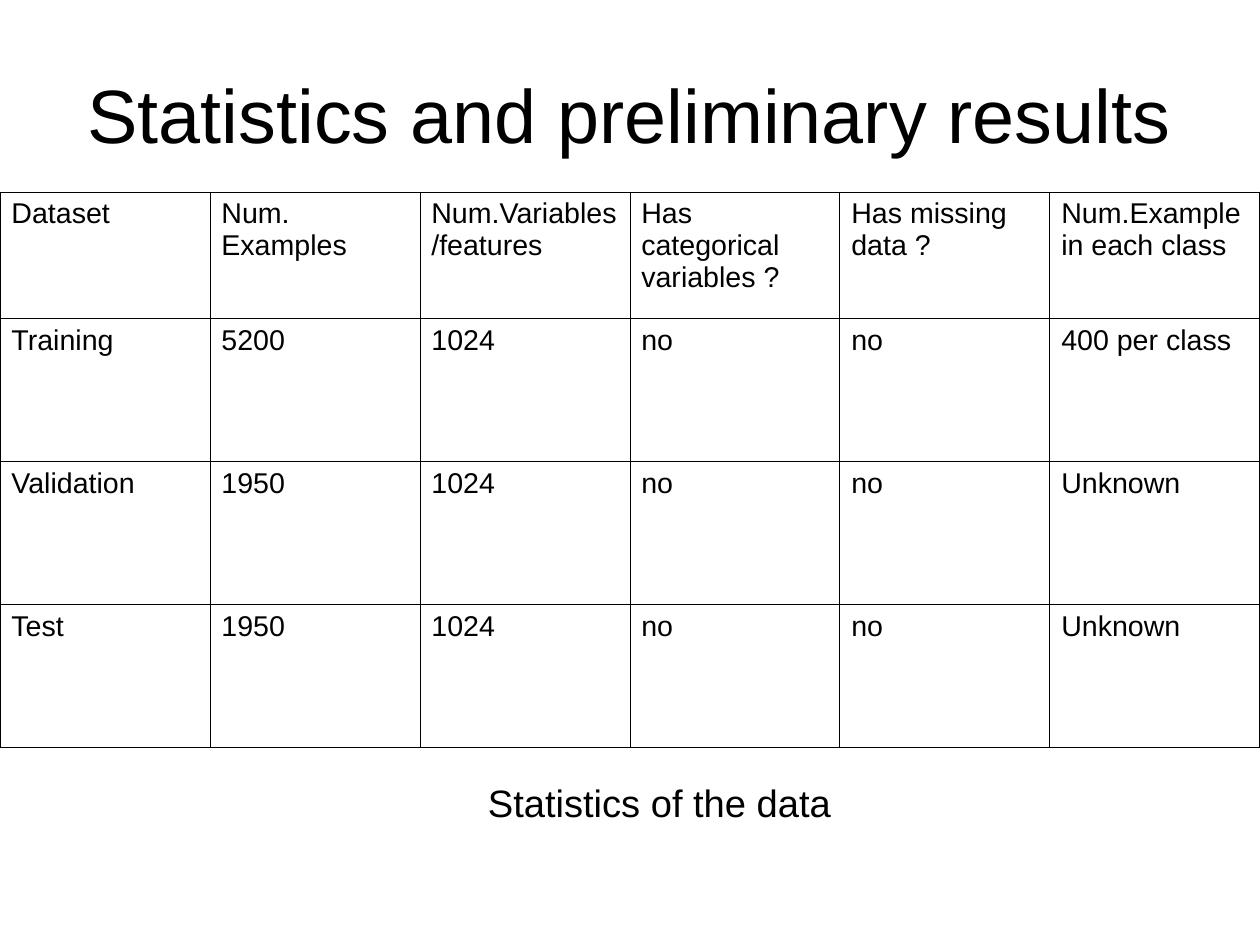
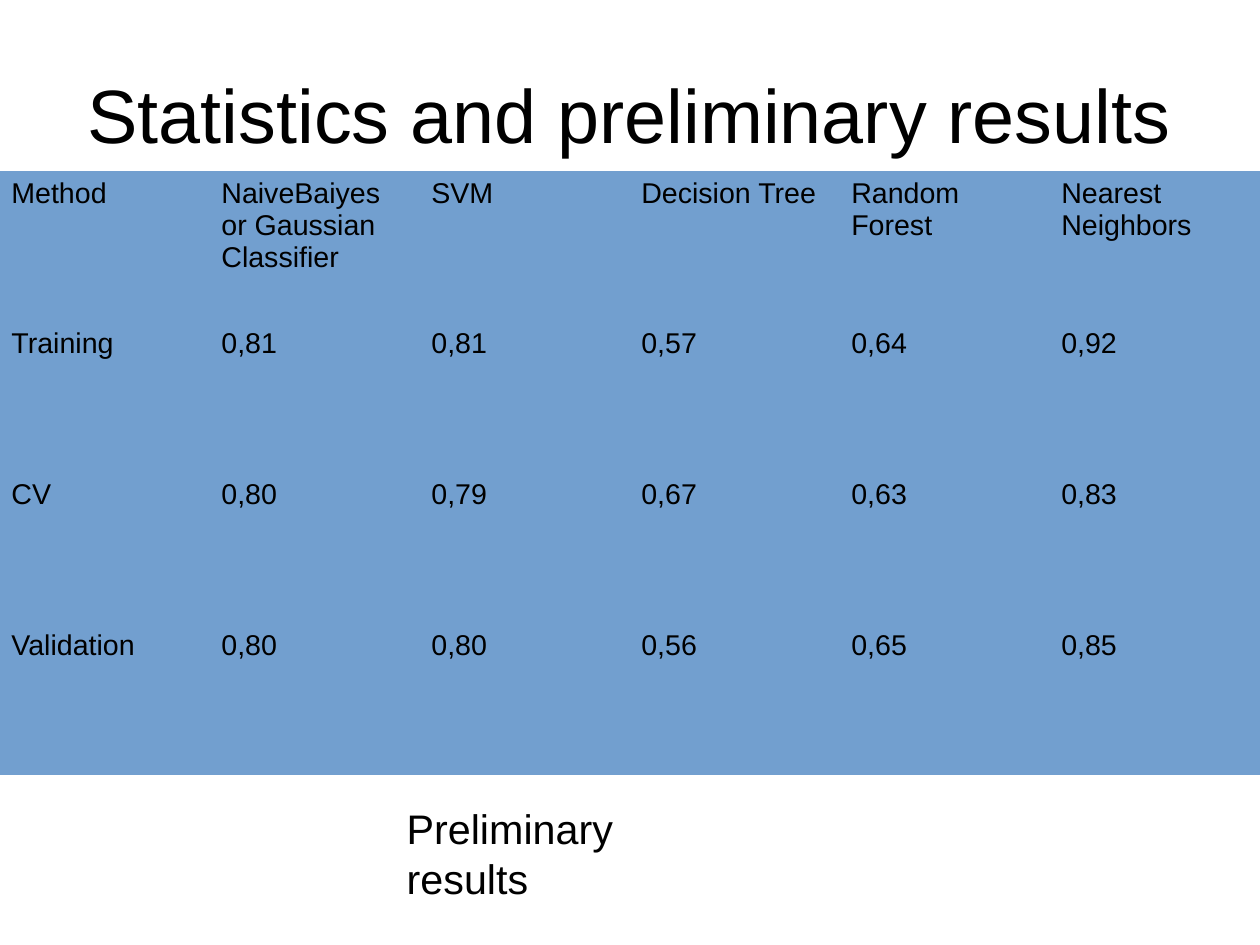
"""Build two slides with data statistics and preliminary results tables."""
from lxml import etree
from pptx import Presentation
from pptx.dml.color import RGBColor
from pptx.enum.text import MSO_ANCHOR, MSO_AUTO_SIZE, PP_ALIGN
from pptx.oxml.ns import qn
from pptx.util import Inches, Pt

BLACK = RGBColor(0x00, 0x00, 0x00)
WHITE = RGBColor(0xFF, 0xFF, 0xFF)
BLUE = RGBColor(0x72, 0x9F, 0xCF)
FONT = "Arial"
TITLE = "Statistics and preliminary results"
MIDDLE = MSO_ANCHOR.MIDDLE
NO_FIT = MSO_AUTO_SIZE.NONE
GROW = MSO_AUTO_SIZE.SHAPE_TO_FIT_TEXT
CENTER = PP_ALIGN.CENTER
CM_PER_INCH = 2.54
WIDTH = 28 / CM_PER_INCH
HEIGHT = 21 / CM_PER_INCH

SLIDES = [
    {
        "rows": [
            ["Dataset", "Num.\nExamples", "Num.Variables/features",
             "Has categorical variables ?", "Has missing data ?",
             "Num.Example in each class"],
            ["Training", "5200", "1024", "no", "no", "400 per class"],
            ["Validation", "1950", "1024", "no", "no", "Unknown"],
            ["Test", "1950", "1024", "no", "no", "Unknown"],
        ],
        "top": 1.68, "heights": [1.11, 1.25, 1.25, 1.25],
        "fill": None, "border": BLACK,
        "caption": "Statistics of the data", "size": 24,
        "box": (4.17, 6.77, 3.39, 0.84), "wrap": True,
    },
    {
        "rows": [
            ["Method", "NaiveBaiyes or Gaussian Classifier", "SVM",
             "Decision Tree", "Random Forest", "Nearest Neighbors"],
            ["Training", "0,81", "0,81", "0,57", "0,64", "0,92"],
            ["CV", "0,80", "0,79", "0,67", "0,63", "0,83"],
            ["Validation", "0,80", "0,80", "0,56", "0,65", "0,85"],
        ],
        "top": 1.5, "heights": [1.32] * 4,
        "fill": BLUE, "border": None,
        "caption": "Preliminary results", "size": 26,
        "box": (3.46, 6.98, 3.17, 0.5), "wrap": False,
    },
]


def add_text(tf, text, size, align=None):
    for i, line in enumerate(text.split("\n")):
        p = tf.add_paragraph() if i else tf.paragraphs[0]
        p.alignment = align
        r = p.add_run()
        r.text = line
        r.font.size = Pt(size)
        r.font.name = FONT
        r.font.color.rgb = BLACK


def set_borders(cell, color):
    tc_pr = cell._tc.get_or_add_tcPr()
    for side in ("lnL", "lnR", "lnT", "lnB"):
        ln = etree.SubElement(tc_pr, qn(f"a:{side}"), w=str(Pt(0.57)))
        if color is None:
            etree.SubElement(ln, qn("a:noFill"))
        else:
            fill = etree.SubElement(ln, qn("a:solidFill"))
            etree.SubElement(fill, qn("a:srgbClr"), val=str(color))


prs = Presentation()
prs.slide_width = Inches(WIDTH)
prs.slide_height = Inches(HEIGHT)
background = prs.slide_master.background.fill
background.solid()
background.fore_color.rgb = WHITE

for data in SLIDES:
    s = prs.slides.add_slide(prs.slide_layouts[5])

    title = s.shapes.title
    title.left, title.top = Inches(0.55), Inches(0.31)
    title.width, title.height = Inches(9.92), Inches(1.37)
    tf = title.text_frame
    tf.margin_left = tf.margin_right = tf.margin_top = tf.margin_bottom = 0
    tf.vertical_anchor = MIDDLE
    tf.auto_size = NO_FIT
    add_text(tf, TITLE, 47.6, CENTER)

    caption = s.shapes.add_textbox(*[Inches(v) for v in data["box"]])
    caption.text_frame.word_wrap = data["wrap"]
    caption.text_frame.auto_size = GROW
    add_text(caption.text_frame, data["caption"], data["size"])

    rows, heights = data["rows"], data["heights"]
    table = s.shapes.add_table(
        len(rows), len(rows[0]), 0, Inches(data["top"]),
        Inches(WIDTH), Inches(sum(heights))).table
    table.first_row = table.horz_banding = False
    for col in table.columns:
        col.width = Inches(WIDTH / len(rows[0]))
    for row, height, texts in zip(table.rows, heights, rows):
        row.height = Inches(height)
        for cell, text in zip(row.cells, texts):
            cell.margin_left = cell.margin_right = Inches(0.1)
            cell.margin_top = cell.margin_bottom = Inches(0.05)
            add_text(cell.text_frame, text, 18)
            set_borders(cell, data["border"])
            if data["fill"] is None:
                cell.fill.background()
            else:
                cell.fill.solid()
                cell.fill.fore_color.rgb = data["fill"]

prs.save("out.pptx")
